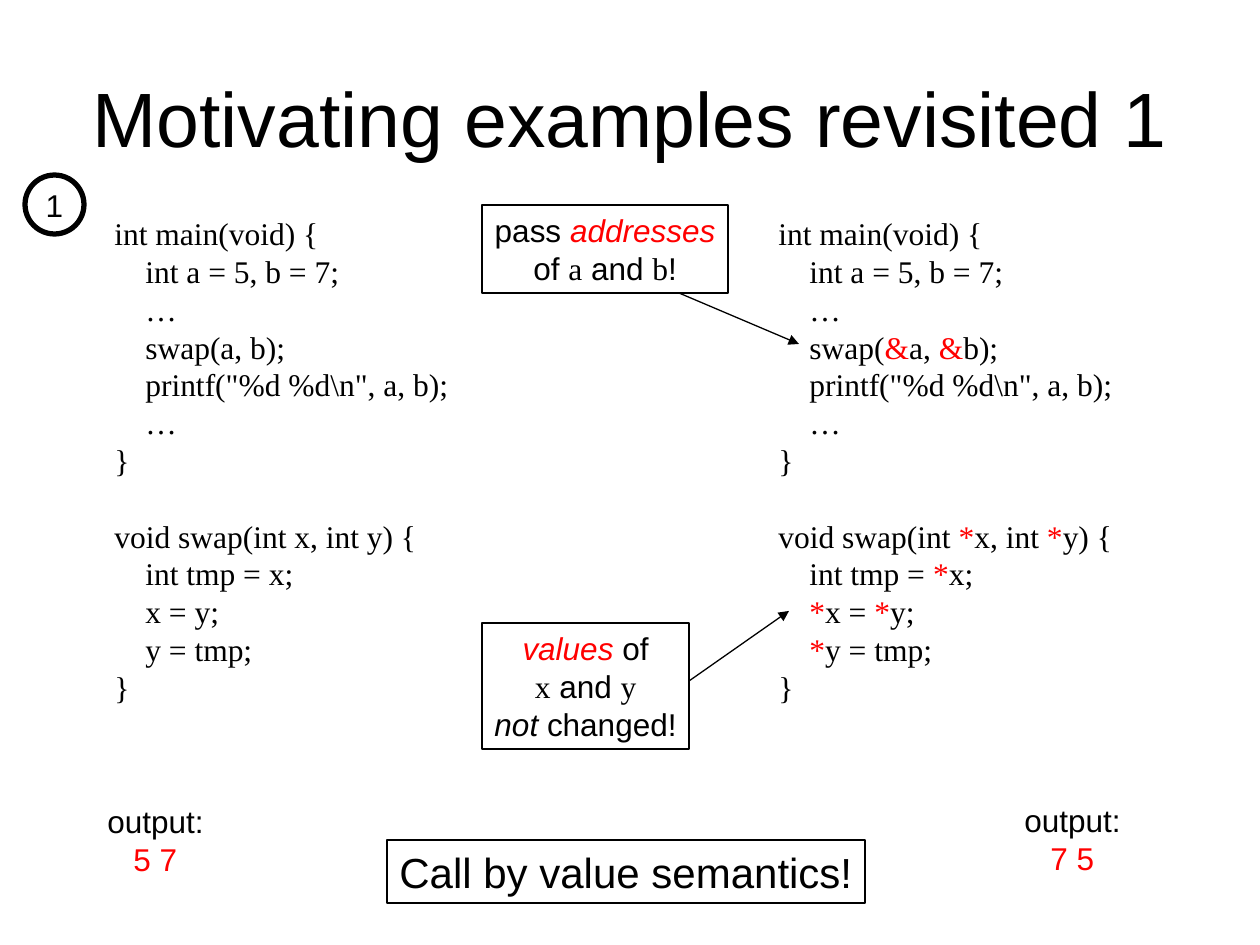
import itertools

import pptx
import pptx.dml.color
import pptx.enum.shapes
import pptx.enum.text
import pptx.oxml.ns
import pptx.util
from lxml import etree

BLACK = pptx.dml.color.RGBColor(0x00, 0x00, 0x00)
RED = pptx.dml.color.RGBColor(0xFF, 0x00, 0x00)
WHITE = pptx.dml.color.RGBColor(0xFF, 0xFF, 0xFF)
SANS = "Arial"
SERIF = "Times New Roman"
LINE_HEIGHT = 1.2
CODE_INDENT = 31
OUTPUT_INDENT = 26
LEFT = pptx.enum.text.PP_ALIGN.LEFT
CENTER = pptx.enum.text.PP_ALIGN.CENTER
RECTANGLE = pptx.enum.shapes.MSO_SHAPE.RECTANGLE
OVAL = pptx.enum.shapes.MSO_SHAPE.OVAL

VALUE_MAIN = [
    (0, "int main(void) {"),
    (1, "int a = 5, b = 7;"),
    (1, "…"),
    (1, "swap(a, b);"),
    (1, 'printf("%d %d\\n", a, b);'),
    (1, "…"),
    (0, "}"),
]
VALUE_SWAP = [
    (0, "void swap(int x, int y) {"),
    (1, "int tmp = x;"),
    (1, "x = y;"),
    (1, "y = tmp;"),
    (0, "}"),
]
POINTER_MAIN = [
    (depth, line.replace("swap(a, b)", "swap(&a, &b)")) for depth, line in VALUE_MAIN
]
POINTER_SWAP = [
    (0, "void swap(int *x, int *y) {"),
    (1, "int tmp = *x;"),
    (1, "*x = *y;"),
    (1, "*y = tmp;"),
    (0, "}"),
]


def px(length):
    """Turn a length in px into EMU."""
    return pptx.util.Emu(round(length * 914400 / 126))


def add_outline(slide, box, kind, weight):
    """Add a black-outlined preset shape without fill or shadow."""
    outline = slide.shapes.add_shape(kind, *map(px, box))
    outline.shadow.inherit = False
    outline.fill.background()
    outline.line.color.rgb = BLACK
    outline.line.width = pptx.util.Pt(weight)
    return outline


def start_text(holder, anchor=pptx.enum.text.MSO_ANCHOR.TOP):
    """Prepare the text frame of a shape and return it."""
    frame = holder.text_frame
    frame.word_wrap = False
    frame.vertical_anchor = anchor
    return frame


def write_line(frame, runs, size=18, font=SANS, align=LEFT, indent=0):
    """Write one paragraph from (text, style) runs and return it."""
    first = frame.paragraphs[0]
    line = frame.add_paragraph() if first.runs else first
    line.alignment = align
    line.line_spacing = pptx.util.Pt(size * LINE_HEIGHT)
    line.font.size = pptx.util.Pt(size)
    line.font.name = font
    line.font.color.rgb = BLACK
    if indent:
        properties = line._p.get_or_add_pPr()
        properties.set("marL", str(px(indent)))
        properties.set("indent", "0")
    for text, style in runs:
        run = line.add_run()
        run.text = text
        if "color" in style:
            run.font.color.rgb = style["color"]
        if "font" in style:
            run.font.name = style["font"]
        if "italic" in style:
            run.font.italic = style["italic"]
    return line


def add_title(slide, box, text):
    """Add the centred slide title."""
    title = slide.shapes.add_textbox(*map(px, box))
    frame = start_text(title, pptx.enum.text.MSO_ANCHOR.MIDDLE)
    write_line(frame, [(text, {})], size=44, align=CENTER)


def add_code(slide, box, functions):
    """Add a listing with pointer operators in red and a gap between functions."""
    listing = slide.shapes.add_textbox(*map(px, box))
    frame = start_text(listing)
    for number, function in enumerate(functions):
        for row, (depth, code) in enumerate(function):
            runs = [
                ("".join(letters), {"color": RED} if operator else {})
                for operator, letters in itertools.groupby(code, lambda c: c in "&*")
            ]
            line = write_line(frame, runs, font=SERIF, indent=depth * CODE_INDENT)
            if number and row == 0:
                line.space_before = pptx.util.Pt(18 * LINE_HEIGHT)


def add_output(slide, box, values):
    """Add the program output under a listing."""
    output = slide.shapes.add_textbox(*map(px, box))
    frame = start_text(output)
    write_line(frame, [("output:", {})])
    write_line(frame, [(values, {"color": RED})], indent=OUTPUT_INDENT)


def add_badge(slide, box, number):
    """Add the circled example number."""
    badge = add_outline(slide, box, OVAL, 3)
    badge.fill.solid()
    badge.fill.fore_color.rgb = WHITE
    frame = start_text(badge, pptx.enum.text.MSO_ANCHOR.MIDDLE)
    write_line(frame, [(number, {})], align=CENTER)


def add_conclusion(slide, box, text):
    """Add the framed conclusion."""
    frame = start_text(add_outline(slide, box, RECTANGLE, 1.5))
    write_line(frame, [(text, {})], size=24)


def add_callout(slide, box, lines, tail, tip):
    """Add a framed remark and an arrow from tail to tip, relative to the box."""
    frame = start_text(add_outline(slide, box, RECTANGLE, 0.75))
    for runs in lines:
        write_line(frame, runs, align=CENTER)
    left, top = box[:2]
    ends = (left + tail[0], top + tail[1], left + tip[0], top + tip[1])
    arrow = slide.shapes.add_connector(
        pptx.enum.shapes.MSO_CONNECTOR.STRAIGHT, *map(px, ends)
    )
    arrow.line.color.rgb = BLACK
    arrow.line.width = pptx.util.Pt(0.75)
    head = etree.SubElement(arrow.line._get_or_add_ln(), pptx.oxml.ns.qn("a:tailEnd"))
    head.set("type", "triangle")
    etree.SubElement(arrow._element.spPr, pptx.oxml.ns.qn("a:effectLst"))


def main():
    """Build and save the slide."""
    deck = pptx.Presentation()
    deck.slide_width, deck.slide_height = px(1260), px(945)
    slide = deck.slides.add_slide(deck.slide_layouts[6])
    emphasis = {"color": RED, "italic": True}
    variable = {"font": SERIF}

    add_title(slide, (63, 38, 1134, 157), "Motivating examples revisited 1")
    add_code(slide, (102, 208, 366, 542), [VALUE_MAIN, VALUE_SWAP])
    add_output(slide, (95, 796, 128, 88), "5 7")
    add_badge(slide, (25, 175, 59, 59), "1")
    add_conclusion(slide, (387, 840, 478, 63), "Call by value semantics!")
    add_code(slide, (766, 208, 366, 542), [POINTER_MAIN, POINTER_SWAP])
    add_output(slide, (1012, 795, 128, 88), "7 5")
    addresses = [
        [("pass ", {}), ("addresses", emphasis)],
        [("of ", {}), ("a", variable), (" and ", {}), ("b", variable), ("!", {})],
    ]
    add_callout(slide, (482, 205, 246, 88), addresses, (197, 88), (317, 139))
    values = [
        [("values", emphasis), (" of", {})],
        [("x", variable), (" and ", {}), ("y", variable)],
        [("not", {"italic": True}), (" changed!", {})],
    ]
    add_callout(slide, (482, 623, 207, 126), values, (207, 58), (307, -12))
    deck.save("out.pptx")


if __name__ == "__main__":
    main()
